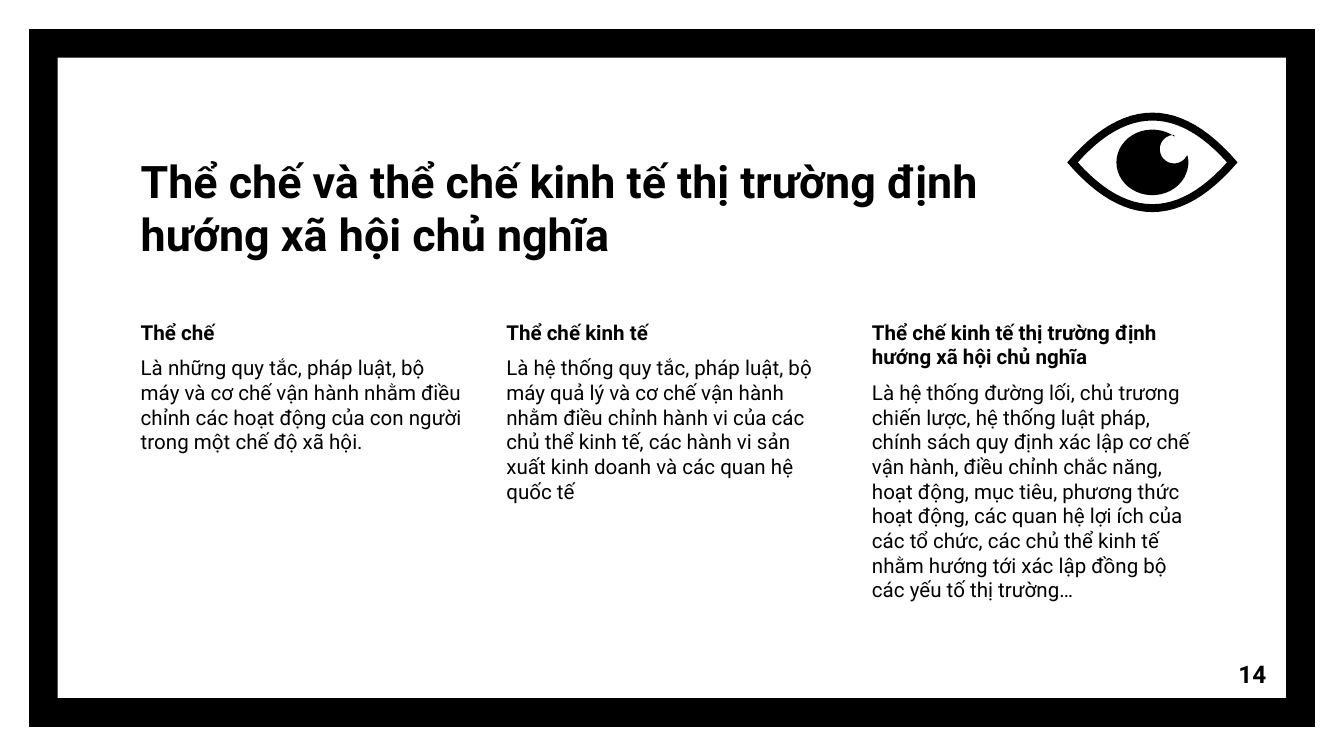
from math import cos, radians, sin
from pptx import Presentation
from pptx.dml.color import RGBColor
from pptx.enum.shapes import MSO_SHAPE
from pptx.enum.text import MSO_ANCHOR, PP_ALIGN
from pptx.util import Cm, Pt

theme = {
    "font": "Roboto",
    "ink": RGBColor(0, 0, 0),
    "paper": RGBColor(255, 255, 255),
    "title": Pt(24),
    "body": Pt(11),
    "page": Pt(13),
}

deck = Presentation()
deck.slide_width, deck.slide_height = Cm(25.4), Cm(14.29)
slide = deck.slides.add_slide(deck.slide_layouts[6])
slide.background.fill.solid()
slide.background.fill.fore_color.rgb = theme["paper"]


def add_text(box, items, anchor=MSO_ANCHOR.TOP, align=PP_ALIGN.LEFT, gap=0):
    """Fill a new text box with (text, size, bold) paragraphs."""
    frame = slide.shapes.add_textbox(*map(Cm, box)).text_frame
    frame.word_wrap = True
    frame.vertical_anchor = anchor
    frame.margin_left = frame.margin_right = Cm(0.25)
    frame.margin_top = frame.margin_bottom = Cm(0.25)
    for i, (text, size, bold) in enumerate(items):
        para = frame.paragraphs[0] if i == 0 else frame.add_paragraph()
        para.text = text
        para.alignment = align
        para.space_before = Pt(gap)
        para.font.name, para.font.size = theme["font"], theme[size]
        para.font.bold, para.font.color.rgb = bold, theme["ink"]


def paint(shape):
    shape.shadow.inherit = False
    shape.fill.solid()
    shape.fill.fore_color.rgb = theme["ink"]
    shape.line.fill.background()


# Border
border = slide.shapes.add_shape(
    MSO_SHAPE.FRAME, Cm(0.55), Cm(0.55), Cm(24.3), Cm(13.19))
border.adjustments[0] = 0.041
paint(border)

# Title
add_text((2.41, 1.4, 16.81, 3.78),
         [("Thể chế và thể chế kinh tế thị trường định hướng xã hội chủ nghĩa",
           "title", True)], MSO_ANCHOR.BOTTOM)

# Three columns
columns = [
    ("Thể chế", 3.91,
     "Là những quy tắc, pháp luật, bộ máy và cơ chế vận hành nhằm điều chỉnh "
     "các hoạt động của con người trong một chế độ xã hội."),
    ("Thể chế kinh tế", 5.59,
     "Là hệ thống quy tắc, pháp luật, bộ máy quả lý và cơ chế vận hành nhằm "
     "điều chỉnh hành vi của các chủ thể kinh tế, các hành vi sản xuất kinh "
     "doanh và các quan hệ quốc tế"),
    ("Thể chế kinh tế thị trường định hướng xã hội chủ nghĩa", 7.29,
     "Là hệ thống đường lối, chủ trương chiến lược, hệ thống luật pháp, chính "
     "sách quy định xác lập cơ chế vận hành, điều chỉnh chắc năng, hoạt động, "
     "mục tiêu, phương thức hoạt động, các quan hệ lợi ích của các tổ chức, "
     "các chủ thể kinh tế nhằm hướng tới xác lập đồng bộ các yếu tố thị "
     "trường…"),
]
for i, (head, height, text) in enumerate(columns):
    add_text((2.41 + 6.91 * i, 5.79, 6.58, height),
             [(head, "body", True), (text, "body", False)], gap=6)

# Eye outline: outer and inner rims are pairs of parabolas
mid_x, mid_y = 21.78, 3.07
steps = [k / 12 for k in range(-12, 13)]
rims = []
for wide, high in ((1.61, 0.94), (1.41, 0.79)):
    top = [(mid_x + wide * t, mid_y - high * (1 - t * t)) for t in steps]
    low = [(x, 2 * mid_y - y) for x, y in reversed(top)]
    rims.append(top + low[1:-1])

# Pupil: an ellipse with a round glint cut from its upper right
arcs = [(mid_x, mid_y, 0.68, 0.62, range(52, 373, 8)),
        (22.19, 2.82, 0.27, 0.27, range(-28, -271, -11))]
pupil = [(x + rx * cos(radians(a)), y - ry * sin(radians(a)))
         for x, y, rx, ry, turn in arcs for a in turn]

for loops in (rims, [pupil]):
    pen = None
    for loop in loops:
        dots = [(Cm(x), Cm(y)) for x, y in loop]
        if pen is None:
            pen = slide.shapes.build_freeform(*dots[0])
        else:
            pen.move_to(*dots[0])
        pen.add_line_segments(dots[1:], close=True)
    paint(pen.convert_to_shape())

# Page number
add_text((22.66, 12.19, 1.52, 1.09), [("14", "page", True)],
         MSO_ANCHOR.MIDDLE, PP_ALIGN.RIGHT)

deck.save("out.pptx")
